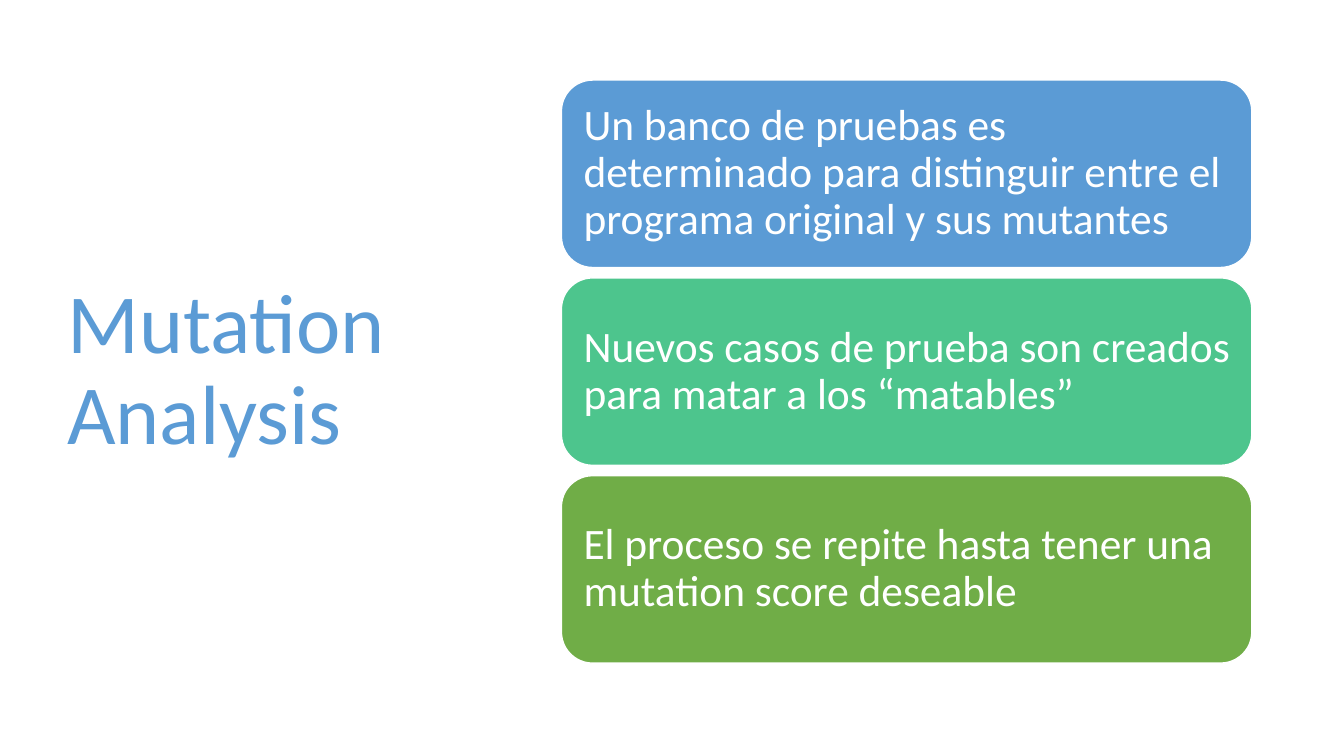
from pptx import Presentation
from pptx.dml.color import RGBColor
from pptx.enum.shapes import MSO_SHAPE
from pptx.enum.text import MSO_ANCHOR, PP_ALIGN
from pptx.util import Pt

COLORS = {"blue": "5B9BD5", "teal": "4DC58D", "green": "70AD47", "white": "FFFFFF"}
STEPS = [
    ("Un banco de pruebas es determinado para distinguir entre el programa original y sus mutantes", "blue"),
    ("Nuevos casos de prueba son creados para matar a los “matables”", "teal"),
    ("El proceso se repite hasta tener una mutation score deseable", "green"),
]


def color(name):
    return RGBColor.from_string(COLORS[name])


def set_values(target, values):
    for name, value in values.items():
        setattr(target, name, value)


def write_text(shape, text, size, color_name, margins):
    frame = shape.text_frame
    set_values(frame, {"word_wrap": True, "vertical_anchor": MSO_ANCHOR.MIDDLE, **margins})
    para = frame.paragraphs[0]
    set_values(para, {"alignment": PP_ALIGN.LEFT, "line_spacing": 0.9})
    span = para.add_run()
    span.text = text
    set_values(span.font, {"name": "Calibri", "size": Pt(size)})
    span.font.color.rgb = color(color_name)


def add_title(page, box, text):
    title = page.shapes.add_textbox(*map(Pt, box))
    write_text(title, text, 60, "blue", {})


def add_steps(page, box, steps, gap):
    left, top, width, height = box
    step_height = (height - gap * (len(steps) - 1)) / len(steps)
    # The right margin is smaller so that the longest line keeps its wrap
    margins = {"margin_left": Pt(9.3), "margin_right": Pt(7),
               "margin_top": Pt(9.3), "margin_bottom": Pt(9.3)}
    for index, (text, fill) in enumerate(steps):
        step_top = top + index * (step_height + gap)
        step = page.shapes.add_shape(
            MSO_SHAPE.ROUNDED_RECTANGLE, *map(Pt, (left, step_top, width, step_height)))
        step.shadow.inherit = False
        step.fill.solid()
        step.fill.fore_color.rgb = color(fill)
        step.line.color.rgb = color("white")
        step.line.width = Pt(1)
        write_text(step, text, 31, "white", margins)


deck = Presentation()
set_values(deck, {"slide_width": Pt(960), "slide_height": Pt(540)})
page = deck.slides.add_slide(deck.slide_layouts[6])

# Title on the left, stacked steps on the right
add_title(page, (41, 49, 299.5, 433.5), "Mutation Analysis")
add_steps(page, (401, 57.2, 493.2, 416.5), STEPS, gap=7.4)

deck.save("out.pptx")
